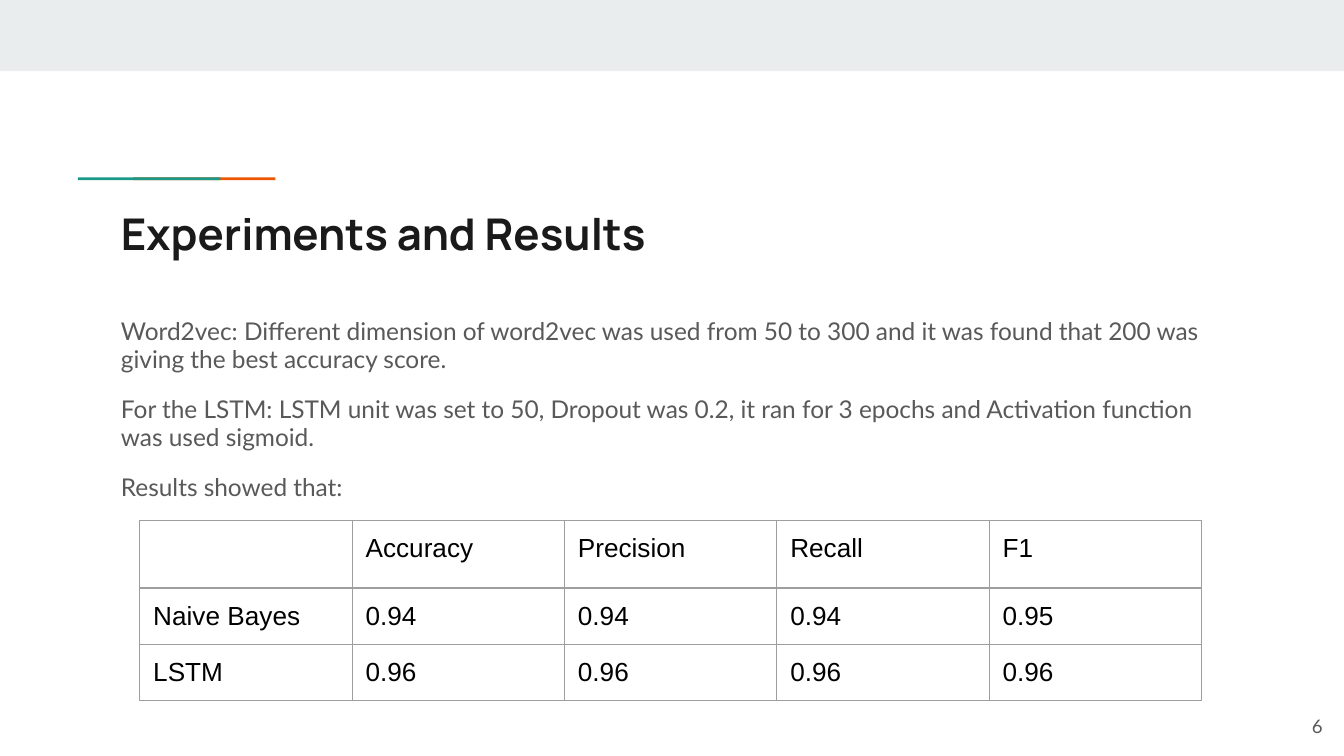
from lxml import etree
from pptx import Presentation
from pptx.dml.color import RGBColor
from pptx.enum.shapes import MSO_SHAPE
from pptx.enum.text import MSO_ANCHOR, MSO_AUTO_SIZE, PP_ALIGN
from pptx.oxml.ns import qn
from pptx.util import Inches, Pt

RECTANGLE = MSO_SHAPE.RECTANGLE
TOP, MIDDLE = MSO_ANCHOR.TOP, MSO_ANCHOR.MIDDLE
LEFT, RIGHT = PP_ALIGN.LEFT, PP_ALIGN.RIGHT
NO_AUTOFIT = MSO_AUTO_SIZE.NONE

BAND = RGBColor(0xE9, 0xED, 0xEE)
ORANGE = RGBColor(0xEB, 0x56, 0x00)
TEAL = RGBColor(0x1A, 0x99, 0x88)
INK = RGBColor(0x1A, 0x1A, 0x1A)
GREY = RGBColor(0x59, 0x59, 0x59)
BLACK = RGBColor(0, 0, 0)
BORDER = RGBColor(0x9E, 0x9E, 0x9E)

SLIDE_WIDTH = 10
SLIDE_HEIGHT = SLIDE_WIDTH * 9 / 16
MARGIN = Inches(0.1)


def write_text(frame, paragraphs, font, size, color, bold=False, align=LEFT,
               line_spacing=1.0, gap=0, anchor=TOP):
    """Fill a text frame with paragraphs that share one format."""
    frame.vertical_anchor = anchor
    for index, words in enumerate(paragraphs):
        paragraph = frame.paragraphs[0] if index == 0 else frame.add_paragraph()
        paragraph.alignment = align
        paragraph.line_spacing = line_spacing
        paragraph.space_before = Pt(gap if index else 0)
        paragraph.space_after = Pt(0)
        run = paragraph.add_run()
        run.text = words
        run.font.name = font
        run.font.size = Pt(size)
        run.font.bold = bold
        run.font.color.rgb = color


def set_margins(target):
    """Give a text frame or table cell equal margins."""
    target.margin_left = target.margin_right = MARGIN
    target.margin_top = target.margin_bottom = MARGIN


def draw_borders(cell, color, width):
    """Outline all four sides of a table cell."""
    properties = cell._tc.get_or_add_tcPr()
    for side in ("a:lnL", "a:lnR", "a:lnT", "a:lnB"):
        line = etree.SubElement(properties, qn(side), w=str(Pt(width)))
        fill = etree.SubElement(line, qn("a:solidFill"))
        etree.SubElement(fill, qn("a:srgbClr"), val=str(color))


class ReportSlide:
    """Holds the style and the current slide."""

    title_font, body_font, table_font = "Manrope", "Lato", "Arial"

    def __init__(self, deck):
        self.slide = deck.slides.add_slide(deck.slide_layouts[1])

    def bar(self, left, top, width, height, color):
        """Draw a plain filled rectangle."""
        bar = self.slide.shapes.add_shape(
            RECTANGLE, Inches(left), Inches(top), Inches(width), Inches(height))
        bar.shadow.inherit = False
        bar.fill.solid()
        bar.fill.fore_color.rgb = color
        bar.line.fill.background()

    def place(self, holder, left, top, width, height):
        """Position a text holder and return its prepared frame."""
        holder.left, holder.top = Inches(left), Inches(top)
        holder.width, holder.height = Inches(width), Inches(height)
        frame = holder.text_frame
        frame.word_wrap = True
        frame.auto_size = NO_AUTOFIT
        set_margins(frame)
        return frame

    def title(self, words, *box):
        """Write the slide title."""
        frame = self.place(self.slide.shapes.title, *box)
        write_text(frame, [words], self.title_font, 23.4, INK, bold=True)

    def body(self, paragraphs, *box):
        """Write the body paragraphs without bullets."""
        frame = self.place(self.slide.placeholders[1], *box)
        write_text(frame, paragraphs, self.body_font, 13.1, GREY,
                   line_spacing=0.95, gap=12)
        for paragraph in frame.paragraphs:
            properties = paragraph._p.get_or_add_pPr()
            properties.set("marL", "0")
            properties.set("indent", "0")
            etree.SubElement(properties, qn("a:buNone"))

    def page_number(self, number, *box):
        """Write the page number."""
        holder = self.slide.shapes.add_textbox(0, 0, MARGIN, MARGIN)
        frame = self.place(holder, *box)
        write_text(frame, [str(number)], self.body_font, 10, GREY,
                   align=RIGHT, anchor=MIDDLE)

    def table(self, rows, left, top, column_width, row_height):
        """Add an unfilled table with thin borders."""
        table = self.slide.shapes.add_table(
            len(rows), len(rows[0]), Inches(left), Inches(top),
            Inches(column_width * len(rows[0])),
            Inches(row_height * len(rows))).table
        table.first_row = table.horz_banding = False
        for column in table.columns:
            column.width = Inches(column_width)
        for row, values in zip(table.rows, rows):
            row.height = Inches(row_height)
            for cell, value in zip(row.cells, values):
                set_margins(cell)
                draw_borders(cell, BORDER, 0.75)
                cell.fill.background()
                if value:
                    write_text(cell.text_frame, [value], self.table_font, 14, BLACK)


def main():
    """Build the results slide."""
    deck = Presentation()
    deck.slide_width = Inches(SLIDE_WIDTH)
    deck.slide_height = Inches(SLIDE_HEIGHT)
    results = ReportSlide(deck)
    results.bar(0, 0, SLIDE_WIDTH, 0.53, BAND)
    for left, color in ((0.99, ORANGE), (0.58, TEAL)):
        results.bar(left, 1.32, 1.06, 0.02, color)
    results.title("Experiments and Results", 0.8, 1.44, 8.41, 0.59)
    results.body([
        "Word2vec: Different dimension of word2vec was used from 50 to 300 "
        "and it was found that 200 was giving the best accuracy score.",
        "For the LSTM: LSTM unit was set to 50, Dropout was 0.2, it ran for "
        "3 epochs and Activation function was used sigmoid.",
        "Results showed that:",
    ], 0.8, 2.27, 8.41, 2.47)
    results.page_number(6, 9.34, 5.19, 0.6, 0.43)
    results.table([
        ["", "Accuracy", "Precision", "Recall", "F1"],
        ["Naive Bayes", "0.94", "0.94", "0.94", "0.95"],
        ["LSTM", "0.96", "0.96", "0.96", "0.96"],
    ], 1.04, 3.87, 1.58, 0.42)
    deck.save("out.pptx")


main()
